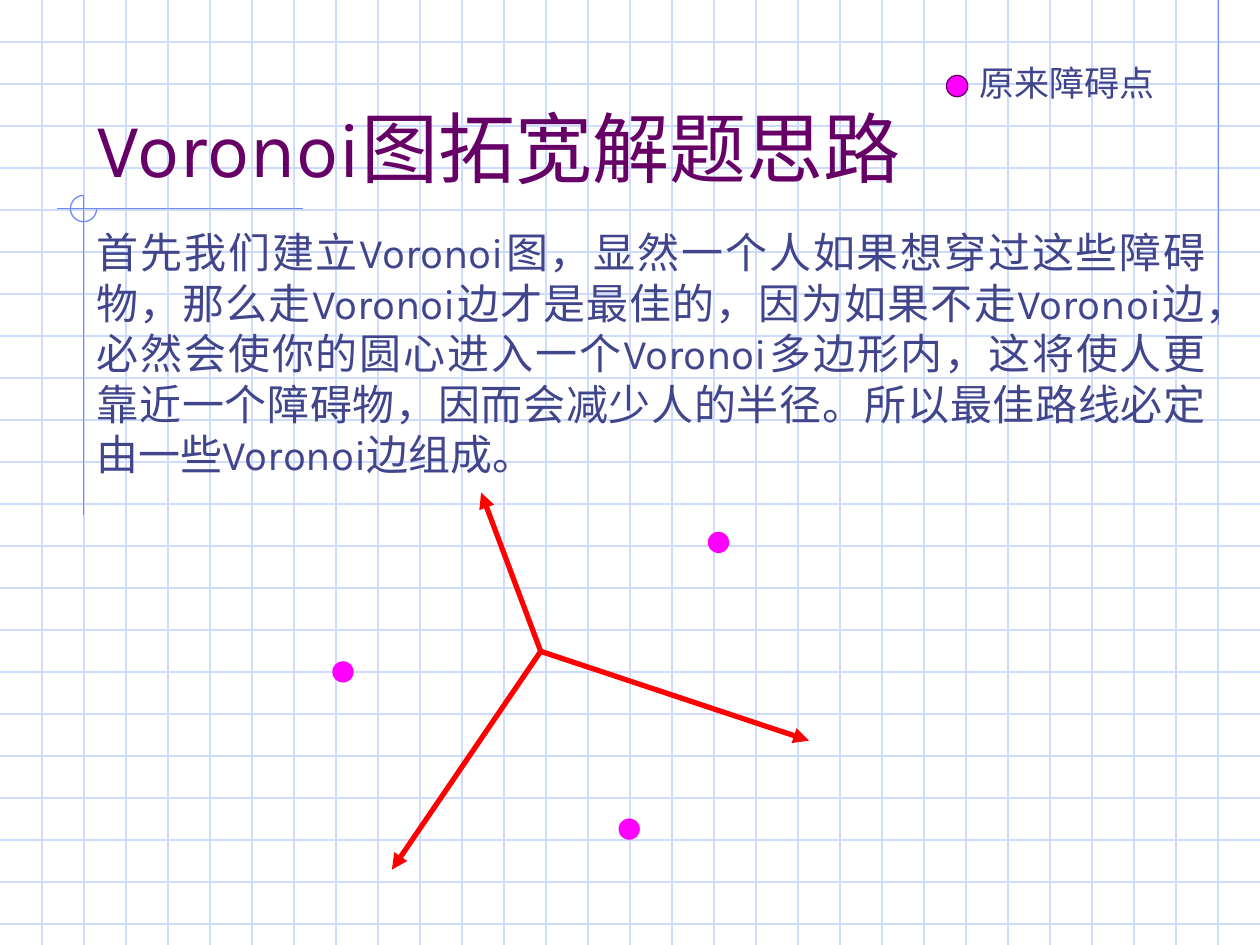
from pptx import Presentation
from pptx.dml.color import RGBColor
from pptx.enum.shapes import MSO_CONNECTOR as Link, MSO_SHAPE as Form
from pptx.enum.text import MSO_ANCHOR as Anchor, MSO_AUTO_SIZE as Fit, PP_ALIGN as Align
from pptx.oxml.ns import qn
from pptx.util import Cm, Pt
from lxml.etree import SubElement

GRID = RGBColor(0xCF, 0xDB, 0xFD)
AXIS = RGBColor(0x6F, 0x89, 0xF7)
PLUM = RGBColor(0x66, 0x00, 0x66)
INK = RGBColor(0x40, 0x45, 0x8C)
PINK = RGBColor(0xFF, 0x00, 0xFF)
RED = RGBColor(0xFF, 0x00, 0x00)
WIDE, HIGH = 25.4, 19.05
STEP = WIDE / 30
THIN = 0.74
DOT = 0.43
TERM = "Voronoi"
BODY = (
    "首先我们建立Voronoi图，显然一个人如果想穿过这些障碍物，那么走Voronoi边才是最佳的，"
    "因为如果不走Voronoi边，必然会使你的圆心进入一个Voronoi多边形内，这将使人更靠近一个障碍物，"
    "因而会减少人的半径。所以最佳路线必定由一些Voronoi边组成。"
)


class Page:
    """Holds the fonts and the current slide."""

    sans, serif = "Karla", "Times New Roman"

    def __init__(self, slide):
        """Start on a slide."""
        self.slide = slide
        self.shapes = slide.shapes

    def line(self, start, end, color, width=THIN, arrow=False):
        """Draw a straight line, with an arrowhead at its end if asked."""
        link = self.shapes.add_connector(
            Link.STRAIGHT, *(Cm(v) for v in (*start, *end)))
        link.line.color.rgb = color
        link.line.width = Pt(width)
        if arrow:
            SubElement(link.line._get_or_add_ln(), qn("a:tailEnd"), type="triangle")
        SubElement(link.element.spPr, qn("a:effectLst"))

    def round(self, form, left, top, size, fill=None, edge=None):
        """Draw a round shape with an optional fill and edge."""
        shape = self.shapes.add_shape(form, Cm(left), Cm(top), Cm(size), Cm(size))
        shape.shadow.inherit = False
        if fill is None:
            shape.fill.background()
        else:
            shape.fill.solid()
            shape.fill.fore_color.rgb = fill
        if edge is None:
            shape.line.fill.background()
        else:
            shape.line.color.rgb = edge
            shape.line.width = Pt(THIN)
        return shape

    def style(self, run, size, font, color):
        """Format one run."""
        run.font.size = Pt(size)
        run.font.name = font
        run.font.color.rgb = color

    def title(self, text, box, size):
        """Place the title in front, set at the bottom left of its box."""
        head = self.shapes.title
        head.element.getparent().append(head.element)
        head.left, head.top, head.width, head.height = (Cm(v) for v in box)
        frame = head.text_frame
        frame.text = text
        frame.auto_size = Fit.NONE
        frame.vertical_anchor = Anchor.BOTTOM
        para = frame.paragraphs[0]
        para.alignment = Align.LEFT
        self.style(para.runs[0], size, self.sans, PLUM)

    def text(self, text, box, size, align=Align.LEFT, wrap=True):
        """Add a text box, with the key term in the sans font."""
        frame = self.shapes.add_textbox(*(Cm(v) for v in box)).text_frame
        frame.word_wrap = wrap
        frame.auto_size = Fit.SHAPE_TO_FIT_TEXT
        para = frame.paragraphs[0]
        para.alignment = align
        for i, part in enumerate(text.split(TERM)):
            if i:
                self.add(para, TERM, size, self.sans)
            self.add(para, part, size, self.serif)

    def add(self, para, text, size, font):
        """Append one formatted run."""
        run = para.add_run()
        run.text = text
        self.style(run, size, font, INK)


def paper(page):
    """Draw the squared paper and its axes."""
    for i in range(1, 23):
        page.line((0, i * STEP), (WIDE, i * STEP), GRID)
    for i in range(1, 30):
        page.line((i * STEP, 0), (i * STEP, HIGH), GRID)
    page.line((24.56, 0), (24.56, 6.55), AXIS)
    page.line((6.1, 4.2), (1.14, 4.2), AXIS)
    page.line((1.69, 3.94), (1.69, 10.39), AXIS)
    arc = page.round(Form.ARC, 1.42, 3.94, 0.53, edge=AXIS)
    arc.adjustments[0] = 0
    arc.adjustments[1] = 162


def graph(page):
    """Draw the obstacle points and the edges between them."""
    for left, top in ((6.7, 13.33), (14.27, 10.72), (12.47, 16.5)):
        page.round(Form.OVAL, left, top, DOT, PINK)
    for end in ((7.9, 17.53), (16.31, 14.93), (9.7, 9.93)):
        page.line((10.9, 13.13), end, RED, 3, arrow=True)


def main():
    """Build and save the slide."""
    deck = Presentation()
    deck.slide_width, deck.slide_height = Cm(WIDE), Cm(HIGH)
    page = Page(deck.slides.add_slide(deck.slide_layouts[5]))
    paper(page)
    page.title("Voronoi图拓宽解题思路", (1.7, 0.84, 21.59, 3.18), 44)
    page.text(BODY, (1.7, 4.45, 22.86, 5.33), 24, Align.JUSTIFY)
    graph(page)
    page.round(Form.OVAL, 19.08, 1.52, DOT, PINK, PLUM)
    page.text("原来障碍点", (19.5, 1.12, 4.04, 1.12), 20, wrap=False)
    deck.save("out.pptx")


main()
